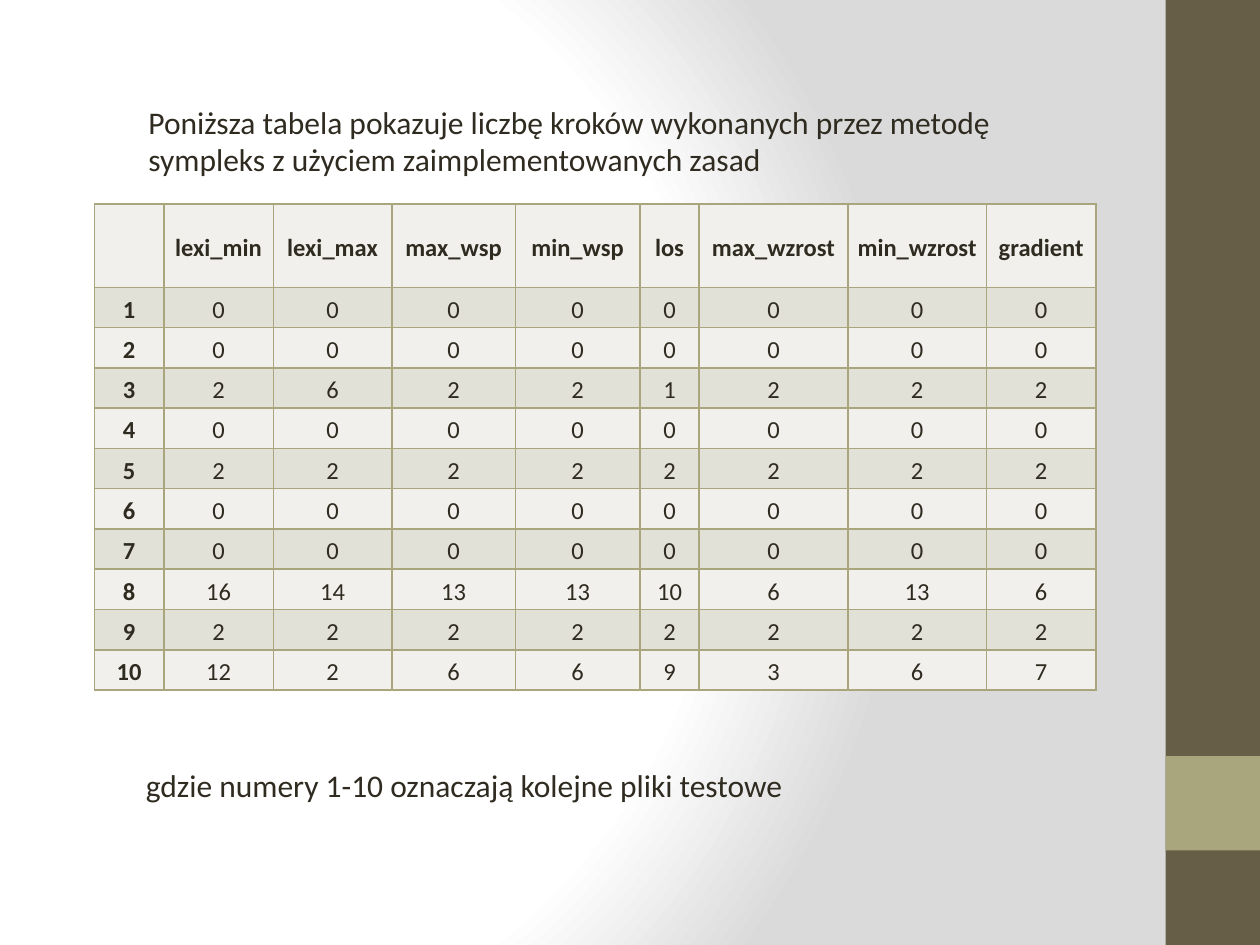
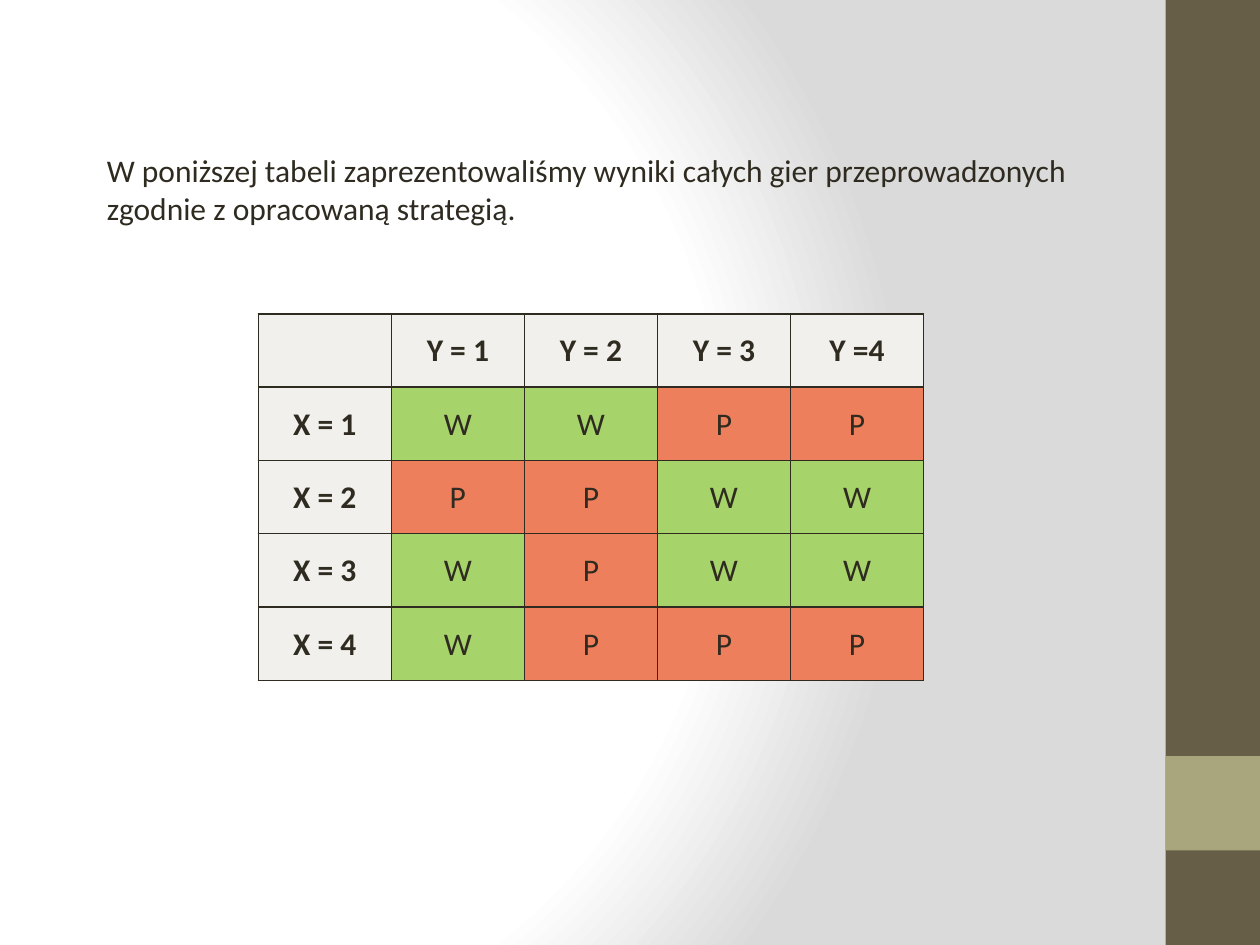
from dataclasses import dataclass

from pptx import Presentation
from pptx.dml.color import RGBColor
from pptx.enum.shapes import MSO_SHAPE
from pptx.enum.text import MSO_ANCHOR, MSO_AUTO_SIZE, PP_ALIGN
from pptx.oxml import parse_xml
from pptx.oxml.ns import nsdecls, qn
from pptx.util import Inches, Pt


@dataclass(frozen=True)
class Theme:
    font: str = "Calibri"
    body_size: int = 18
    dense_size: int = 14
    ink: str = "2F2B20"
    band: str = "675E47"
    accent: str = "A9A57C"
    pale: str = "F1F0EC"
    stripe: str = "E2E1D7"
    win: str = "A7D46A"
    loss: str = "EE7F5C"
    backdrop: tuple = ((0, "FFFFFF"), (75, "FFFFFF"), (100, "DADADA"))


THEME = Theme()

RULES = ["lexi_min", "lexi_max", "max_wsp", "min_wsp", "los",
         "max_wzrost", "min_wzrost", "gradient"]
STEPS = [
    [0, 0, 0, 0, 0, 0, 0, 0],
    [0, 0, 0, 0, 0, 0, 0, 0],
    [2, 6, 2, 2, 1, 2, 2, 2],
    [0, 0, 0, 0, 0, 0, 0, 0],
    [2, 2, 2, 2, 2, 2, 2, 2],
    [0, 0, 0, 0, 0, 0, 0, 0],
    [0, 0, 0, 0, 0, 0, 0, 0],
    [16, 14, 13, 13, 10, 6, 13, 6],
    [2, 2, 2, 2, 2, 2, 2, 2],
    [12, 2, 6, 6, 9, 3, 6, 7],
]
STEP_WIDTHS = [0.55, 0.87, 0.94, 0.98, 0.99, 0.47, 1.18, 1.1, 0.87]
STARTS = ["Y = 1", "Y = 2", "Y = 3", "Y =4"]
OUTCOMES = ["WWPP", "PPWW", "WPWW", "WPPP"]


def style_run(run, size, bold=False):
    run.font.name = THEME.font
    run.font.size = Pt(size)
    run.font.bold = bold
    run.font.color.rgb = RGBColor.from_string(THEME.ink)


def add_backdrop(slide):
    slide.background.fill.gradient()
    stops = "".join(
        f'<a:gs pos="{percent * 1000}"><a:srgbClr val="{color}"/></a:gs>'
        for percent, color in THEME.backdrop)
    radial = parse_xml(
        f'<a:gradFill {nsdecls("a")} rotWithShape="1"><a:gsLst>{stops}</a:gsLst>'
        '<a:path path="circle"><a:fillToRect l="20000" t="50000" r="100000" b="50000"/>'
        '</a:path></a:gradFill>')
    default = slide.element.find(".//" + qn("a:gradFill"))
    default.getparent().replace(default, radial)


def add_side_band(slide, left, top, width, height):
    for offset, length, color in [(0, height, THEME.band), (6, width, THEME.accent)]:
        band = slide.shapes.add_shape(MSO_SHAPE.RECTANGLE, Inches(left),
                                      Inches(top + offset), Inches(width), Inches(length))
        band.shadow.inherit = False
        band.fill.solid()
        band.fill.fore_color.rgb = RGBColor.from_string(color)
        band.line.fill.background()


def add_page(deck):
    slide = deck.slides.add_slide(deck.slide_layouts[6])
    add_backdrop(slide)
    add_side_band(slide, 9.25, 0, 0.75, 7.5)
    return slide


def add_caption(slide, box, text, anchor=MSO_ANCHOR.TOP):
    frame = slide.shapes.add_textbox(*map(Inches, box)).text_frame
    frame.word_wrap = True
    frame.auto_size = MSO_AUTO_SIZE.SHAPE_TO_FIT_TEXT
    frame.vertical_anchor = anchor
    frame.text = text
    style_run(frame.paragraphs[0].runs[0], THEME.body_size)


def outline_cell(cell, color):
    properties = cell._tc.get_or_add_tcPr()
    for side in ("lnL", "lnR", "lnT", "lnB"):
        properties.append(parse_xml(
            f'<a:{side} {nsdecls("a")} w="12700"><a:solidFill>'
            f'<a:srgbClr val="{color}"/></a:solidFill></a:{side}>'))


def add_grid(slide, left, top, widths, heights, rows, fill_for, border, size,
             insets, spacing=None):
    grid = slide.shapes.add_table(
        len(rows), len(widths), Inches(left), Inches(top),
        Inches(sum(widths)), Inches(sum(heights))).table
    grid.first_row = grid.horz_banding = False
    for column, width in zip(grid.columns, widths):
        column.width = Inches(width)
    for r, (values, height) in enumerate(zip(rows, heights)):
        grid.rows[r].height = Inches(height)
        for c, value in enumerate(values):
            cell = grid.cell(r, c)
            outline_cell(cell, border)
            cell.fill.solid()
            cell.fill.fore_color.rgb = RGBColor.from_string(fill_for(r, value))
            cell.vertical_anchor = MSO_ANCHOR.MIDDLE
            (cell.margin_left, cell.margin_top,
             cell.margin_right, cell.margin_bottom) = map(Inches, insets)
            cell.text_frame.text = str(value)
            paragraph = cell.text_frame.paragraphs[0]
            paragraph.alignment = PP_ALIGN.CENTER
            paragraph.line_spacing = spacing
            for run in paragraph.runs:
                style_run(run, size, bold=r == 0 or c == 0)


def add_steps_table(slide, left, top):
    rows = [["", *RULES]] + [[n, *steps] for n, steps in enumerate(STEPS, 1)]
    add_grid(slide, left, top, STEP_WIDTHS, [0.66] + [0.32] * len(STEPS), rows,
             lambda r, value: THEME.stripe if r % 2 else THEME.pale,
             THEME.accent, THEME.dense_size, (0.07, 0, 0.07, 0), 1.15)


def add_games_table(slide, left, top):
    rows = [["", *STARTS]] + [[f"X = {n}", *games] for n, games in enumerate(OUTCOMES, 1)]
    fills = {"W": THEME.win, "P": THEME.loss}
    add_grid(slide, left, top, [1.056] * 5, [0.582] * 5, rows,
             lambda r, value: fills.get(value, THEME.pale),
             THEME.ink, THEME.body_size, (0.01, 0.01, 0.01, 0))


def build_steps_slide(deck):
    slide = add_page(deck)
    add_steps_table(slide, 0.75, 1.62)
    add_caption(slide, (1.08, 0.76, 7.07, 0.71),
                "Poniższa tabela pokazuje liczbę kroków wykonanych przez metodę "
                "sympleks z użyciem zaimplementowanych zasad", MSO_ANCHOR.MIDDLE)
    add_caption(slide, (1.06, 6.03, 7.95, 0.4),
                "gdzie numery 1-10 oznaczają kolejne pliki testowe")


def build_games_slide(deck):
    slide = add_page(deck)
    add_games_table(slide, 2.05, 2.49)
    add_caption(slide, (0.75, 1.15, 7.87, 0.71),
                "W poniższej tabeli zaprezentowaliśmy wyniki całych gier "
                "przeprowadzonych zgodnie z opracowaną strategią.")


deck = Presentation()
deck.slide_width, deck.slide_height = Inches(10), Inches(7.5)
build_steps_slide(deck)
build_games_slide(deck)
deck.save("out.pptx")
